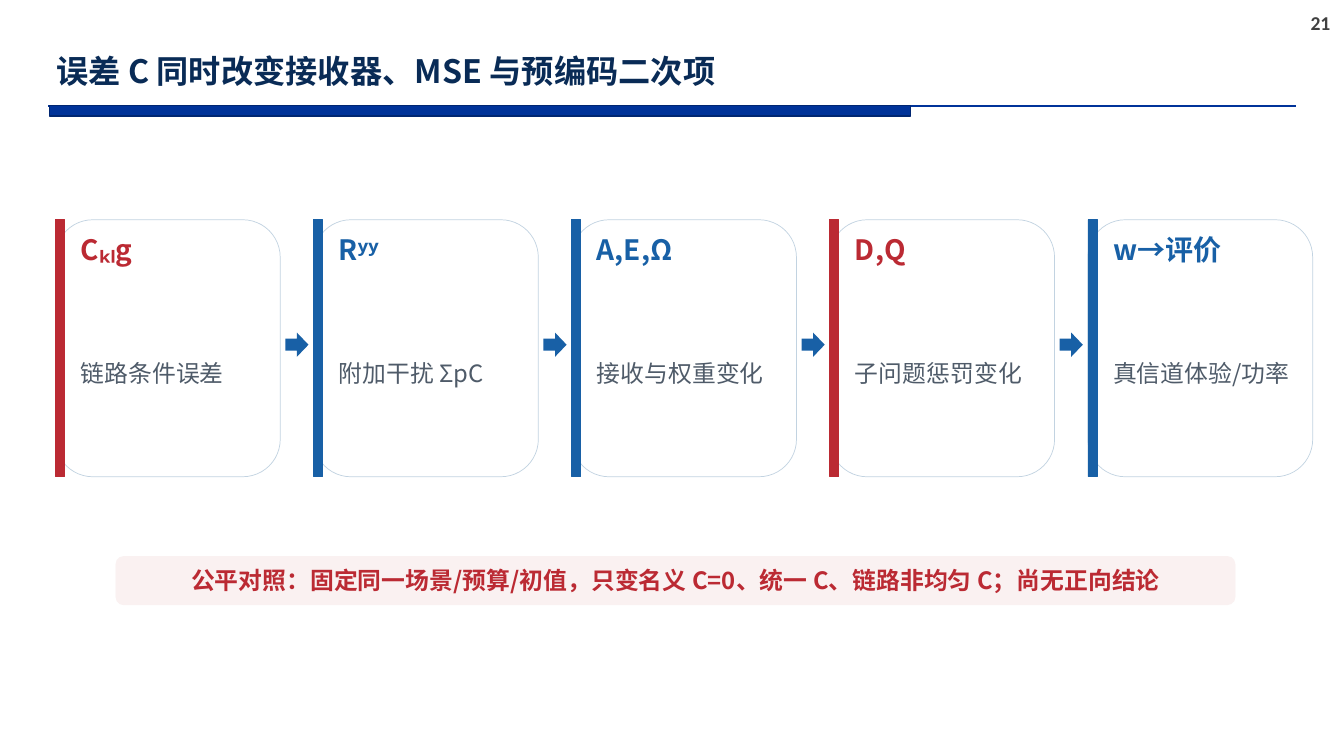
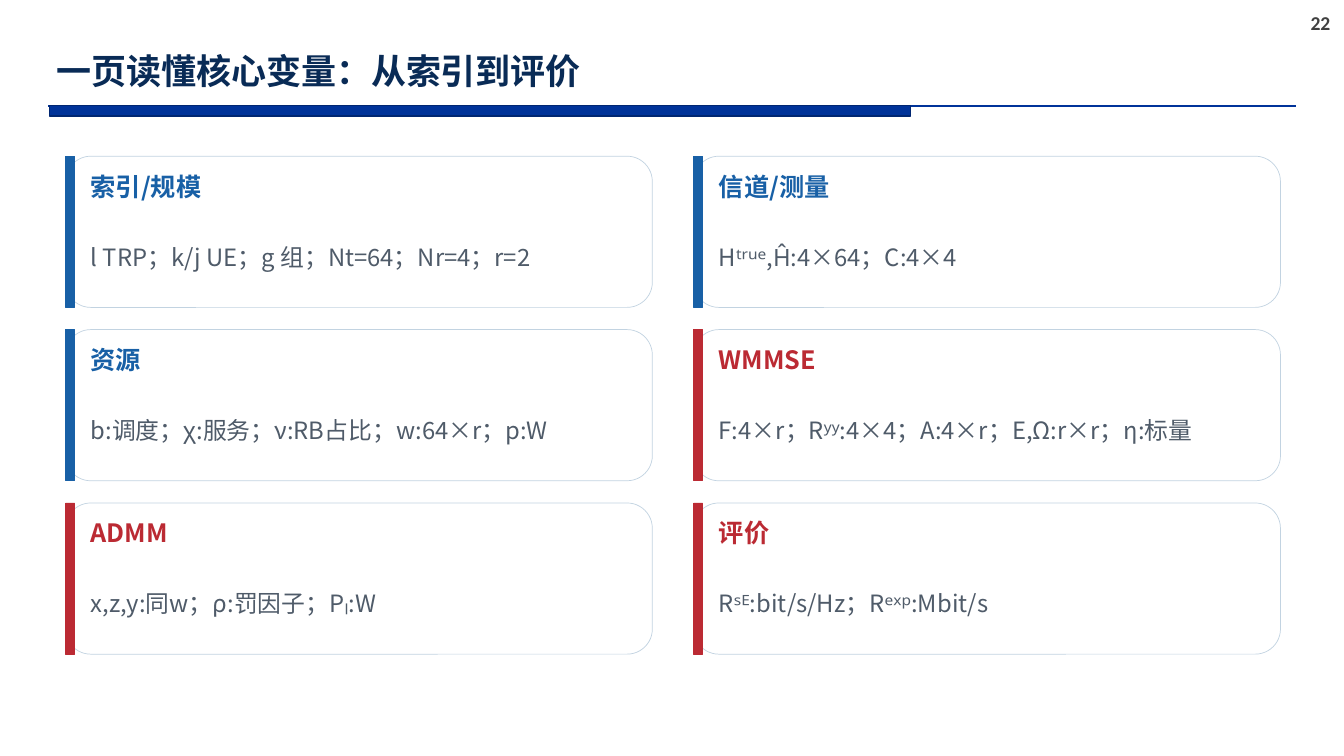
from lxml import etree
from pptx import Presentation
from pptx.dml.color import RGBColor
from pptx.enum.shapes import MSO_CONNECTOR, MSO_SHAPE
from pptx.enum.text import MSO_ANCHOR, MSO_AUTO_SIZE, PP_ALIGN
from pptx.oxml.ns import qn
from pptx.util import Pt

PX = 9144  # EMU per px, 100 px to the inch
TITLE_ONLY = 5
RECT, ROUND, ARROW = MSO_SHAPE.RECTANGLE, MSO_SHAPE.ROUNDED_RECTANGLE, MSO_SHAPE.RIGHT_ARROW
STRAIGHT = MSO_CONNECTOR.STRAIGHT
TOP, MIDDLE = MSO_ANCHOR.TOP, MSO_ANCHOR.MIDDLE
LEFT, CENTER = PP_ALIGN.LEFT, PP_ALIGN.CENTER
CJK, LATIN = "Noto Sans CJK SC", "Calibri"
COLORS = {
    "band": "003399", "band_edge": "002671", "page": "404040", "title": "092B56",
    "white": "FFFFFF", "card_edge": "C2D3E1", "red": "BB2A33", "blue": "1860A6",
    "body": "4F5B69", "pale_red": "FAF1F1",
}

FLOW_CARDS = [
    ("Cₖₗg", "链路条件误差", "red"),
    ("Rʸʸ", "附加干扰 ΣpC", "blue"),
    ("A,E,Ω", "接收与权重变化", "blue"),
    ("D,Q", "子问题惩罚变化", "red"),
    ("w→评价", "真信道体验/功率", "blue"),
]
VARIABLE_CARDS = [
    ("索引/规模", "l TRP；k/j UE；g 组；Nt=64；Nr=4；r=2", "blue"),
    ("信道/测量", "Hᵗʳᵘᵉ,Ĥ:4×64；C:4×4", "blue"),
    ("资源", "b:调度；χ:服务；ν:RB占比；w:64×r；p:W", "blue"),
    ("WMMSE", "F:4×r；Rʸʸ:4×4；A:4×r；E,Ω:r×r；η:标量", "red"),
    ("ADMM", "x,z,y:同w；ρ:罚因子；Pₗ:W", "red"),
    ("评价", "Rˢᴱ:bit/s/Hz；Rᵉˣᵖ:Mbit/s", "red"),
]


def color(name):
    return RGBColor.from_string(COLORS[name])


def emu(box):
    return [length * PX for length in box]


def write(shape, text, *, size, ink, bold=False, font=CJK, align=LEFT,
          anchor=MIDDLE, inset=5, wrap=True, spacing=None):
    frame = shape.text_frame
    frame.auto_size = MSO_AUTO_SIZE.NONE
    frame.word_wrap = wrap
    frame.vertical_anchor = anchor
    if inset is not None:
        frame.margin_left = frame.margin_right = inset * PX
        frame.margin_top = frame.margin_bottom = inset * PX
    para = frame.paragraphs[0]
    para.alignment = align
    if spacing:
        para.line_spacing = spacing
    span = para.add_run()
    span.text = text
    span.font.size = Pt(size)
    span.font.bold = bold
    span.font.name = font
    span.font.color.rgb = color(ink)
    east_asian = etree.SubElement(span.font._element, qn("a:ea"))
    east_asian.set("typeface", font)


def add_text(slide, box, text, **style):
    write(slide.shapes.add_textbox(*emu(box)), text, **style)


def add_block(slide, kind, box, fill, edge=None, weight=0.5):
    block = slide.shapes.add_shape(kind, *emu(box))
    block.shadow.inherit = False
    block.fill.solid()
    block.fill.fore_color.rgb = color(fill)
    if edge:
        block.line.color.rgb = color(edge)
        block.line.width = Pt(weight)
    else:
        block.line.fill.background()


def add_page(deck, number, title, title_size):
    """Add a slide with the shared title, rule, band and page number."""
    slide = deck.slides.add_slide(deck.slide_layouts[TITLE_ONLY])
    rule = slide.shapes.add_connector(STRAIGHT, *emu((48, 105, 1285, 105)))
    rule.line.color.rgb = color("band")
    rule.line.width = Pt(1.5)
    etree.SubElement(rule._element.spPr, qn("a:effectLst"))
    add_block(slide, RECT, (49, 105, 854, 10), "band", "band_edge", 1)
    add_text(slide, (1290, 6, 40, 34), str(number), size=14, ink="page", bold=True,
             font=LATIN, anchor=TOP, inset=None, wrap=False)
    heading = slide.shapes.title
    heading.left, heading.top, heading.width, heading.height = emu((46, 40, 945, 65))
    write(heading, title, size=title_size, ink="title", bold=True, inset=None, spacing=0.9)
    return slide


def add_card(slide, box, heading, body, accent, heading_size):
    left, top, width, height = box
    add_block(slide, ROUND, box, "white", "card_edge")
    add_block(slide, RECT, (left, top, 9, height), accent, accent)
    add_text(slide, (left + 20, top + 11, width - 34, 37), heading,
             size=heading_size, ink=accent, bold=True)
    add_text(slide, (left + 20, top + 59, width - 35, height - 69), body,
             size=17, ink="body")


def add_flow(slide, left, top):
    width, height, pitch = 223, 255, 256
    for index, (heading, body, accent) in enumerate(FLOW_CARDS):
        x = left + index * pitch
        if index:
            add_block(slide, ARROW, (x - 28, top + 112, 23, 24), "blue")
        add_card(slide, (x, top, width, height), heading, body, accent, 20)


def add_banner(slide, box, text):
    left, top, width, height = box
    add_block(slide, ROUND, box, "pale_red", "pale_red")
    add_text(slide, (left + 6, top + 4, width - 12, height - 9), text,
             size=17, ink="red", bold=True, align=CENTER)


def add_card_grid(slide, left, top):
    width, height, column_pitch, row_pitch = 582, 150, 623, 172
    for index, (heading, body, accent) in enumerate(VARIABLE_CARDS):
        row, column = divmod(index, 2)
        box = (left + column * column_pitch, top + row * row_pitch, width, height)
        add_card(slide, box, heading, body, accent, 18)


def main():
    deck = Presentation()
    deck.slide_width, deck.slide_height = emu((1333, 750))

    flow = add_page(deck, 21, "误差 C 同时改变接收器、MSE 与预编码二次项", 23)
    add_flow(flow, 55, 218)
    add_banner(flow, (115, 552, 1110, 48),
               "公平对照：固定同一场景/预算/初值，只变名义 C=0、统一 C、链路非均匀 C；尚无正向结论")

    variables = add_page(deck, 22, "一页读懂核心变量：从索引到评价", 25)
    add_card_grid(variables, 65, 155)

    deck.save("out.pptx")


if __name__ == "__main__":
    main()
